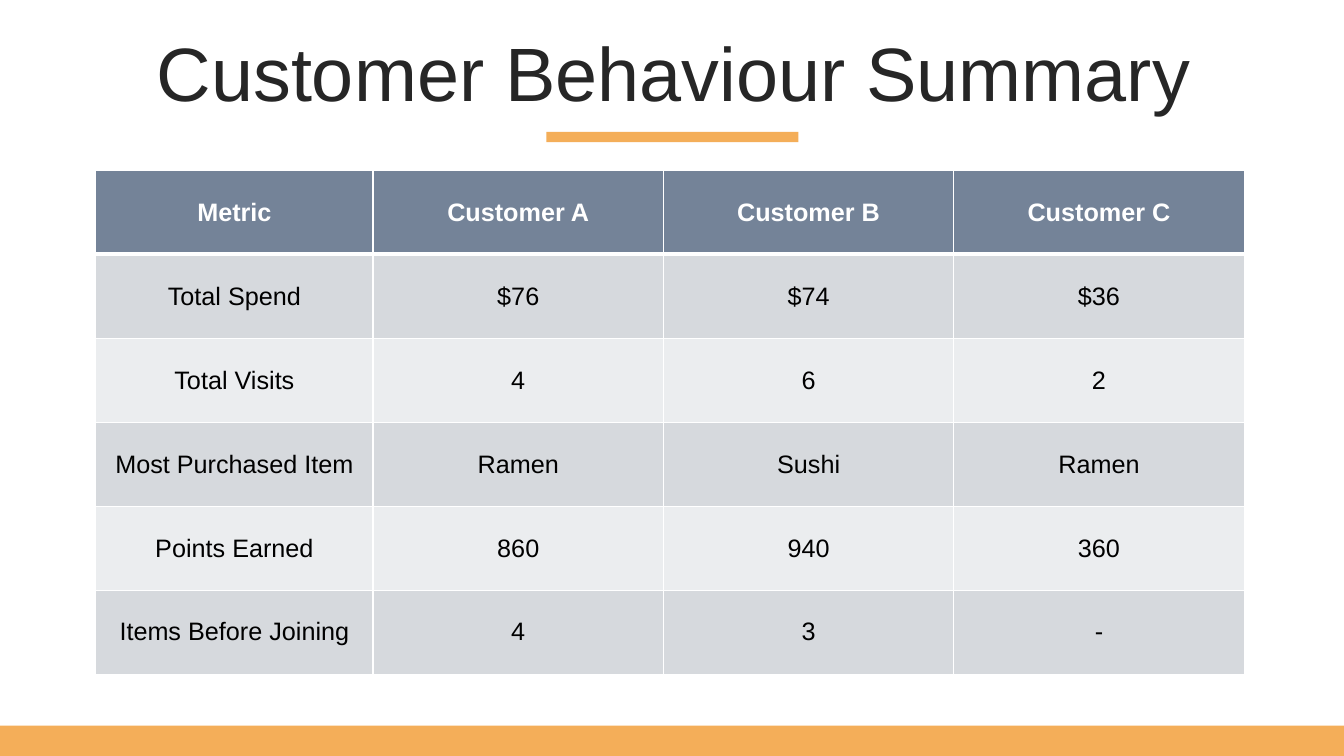
from lxml import etree
from pptx import Presentation
from pptx.dml.color import RGBColor
from pptx.enum import shapes, text
from pptx.oxml import ns
from pptx.util import Inches, Pt

FONT = "Arial"
ORANGE = RGBColor(0xF4, 0xAE, 0x59)
TITLE_GREY = RGBColor(0x26, 0x26, 0x26)
SLATE = RGBColor(0x74, 0x83, 0x98)
BAND_DARK = RGBColor(0xD6, 0xD9, 0xDD)
BAND_LIGHT = RGBColor(0xEB, 0xED, 0xEF)
WHITE = RGBColor(0xFF, 0xFF, 0xFF)
BLACK = RGBColor(0, 0, 0)

ROWS = [
    ("Metric", "Customer A", "Customer B", "Customer C"),
    ("Total Spend", "$76", "$74", "$36"),
    ("Total Visits", "4", "6", "2"),
    ("Most Purchased Item", "Ramen", "Sushi", "Ramen"),
    ("Points Earned", "860", "940", "360"),
    ("Items Before Joining", "4", "3", "-"),
]
COLUMN_WIDTHS = (2.75, 2.88, 2.88, 2.88)
TABLE_HEIGHT = 5


def format_paragraph(p, size, color, bold=False):
    p.alignment = text.PP_ALIGN.CENTER
    for r in p.runs:
        r.font.name = FONT
        r.font.size = Pt(size)
        r.font.bold = bold
        r.font.color.rgb = color


def add_title(s, title):
    sp = s.shapes.title
    sp.left, sp.top = Inches(0.35), Inches(0.37)
    sp.width, sp.height = Inches(12.66), Inches(0.79)
    tf = sp.text_frame
    tf.text = title
    tf.auto_size = text.MSO_AUTO_SIZE.NONE
    tf.vertical_anchor = text.MSO_ANCHOR.MIDDLE
    p = tf.paragraphs[0]
    p.line_spacing = 0.9
    p.space_before = Pt(10)
    format_paragraph(p, 54, TITLE_GREY)


def add_bar(s, left, top, width, height):
    sp = s.shapes.add_shape(shapes.MSO_SHAPE.RECTANGLE, Inches(left),
                            Inches(top), Inches(width), Inches(height))
    sp.shadow.inherit = False
    sp.fill.solid()
    sp.fill.fore_color.rgb = ORANGE
    sp.line.fill.background()


def set_borders(cell, top, bottom):
    """Draw white cell borders; call before filling, as the schema puts lines first."""
    tc_pr = cell._tc.get_or_add_tcPr()
    for side, width in (("L", 1), ("R", 1), ("T", top), ("B", bottom)):
        ln = etree.SubElement(tc_pr, ns.qn("a:ln" + side), w=str(Pt(width)))
        fill = etree.SubElement(ln, ns.qn("a:solidFill"))
        etree.SubElement(fill, ns.qn("a:srgbClr"), val=str(WHITE))


def format_cell(cell, row):
    header = row == 0
    set_borders(cell, 3 if row == 1 else 1, 3 if header else 1)
    cell.fill.solid()
    band = BAND_DARK if row % 2 else BAND_LIGHT
    cell.fill.fore_color.rgb = SLATE if header else band
    cell.vertical_anchor = text.MSO_ANCHOR.MIDDLE
    format_paragraph(cell.text_frame.paragraphs[0], 18,
                     WHITE if header else BLACK, header)


def add_metrics_table(s):
    table = s.shapes.add_table(
        len(ROWS), len(COLUMN_WIDTHS), Inches(0.95), Inches(1.69),
        Inches(sum(COLUMN_WIDTHS)), Inches(TABLE_HEIGHT)).table
    for column, width in zip(table.columns, COLUMN_WIDTHS):
        column.width = Inches(width)
    for i, values in enumerate(ROWS):
        table.rows[i].height = Inches(TABLE_HEIGHT / len(ROWS))
        for j, value in enumerate(values):
            cell = table.cell(i, j)
            cell.text_frame.text = value
            format_cell(cell, i)


def main():
    prs = Presentation()
    prs.slide_width, prs.slide_height = Inches(13.33), Inches(7.5)
    s = prs.slides.add_slide(prs.slide_layouts[5])
    add_bar(s, 5.42, 1.31, 2.5, 0.1)
    add_bar(s, 0, 7.2, 13.33, 0.3)
    add_title(s, "Customer Behaviour Summary")
    add_metrics_table(s)
    prs.save("out.pptx")


if __name__ == "__main__":
    main()
